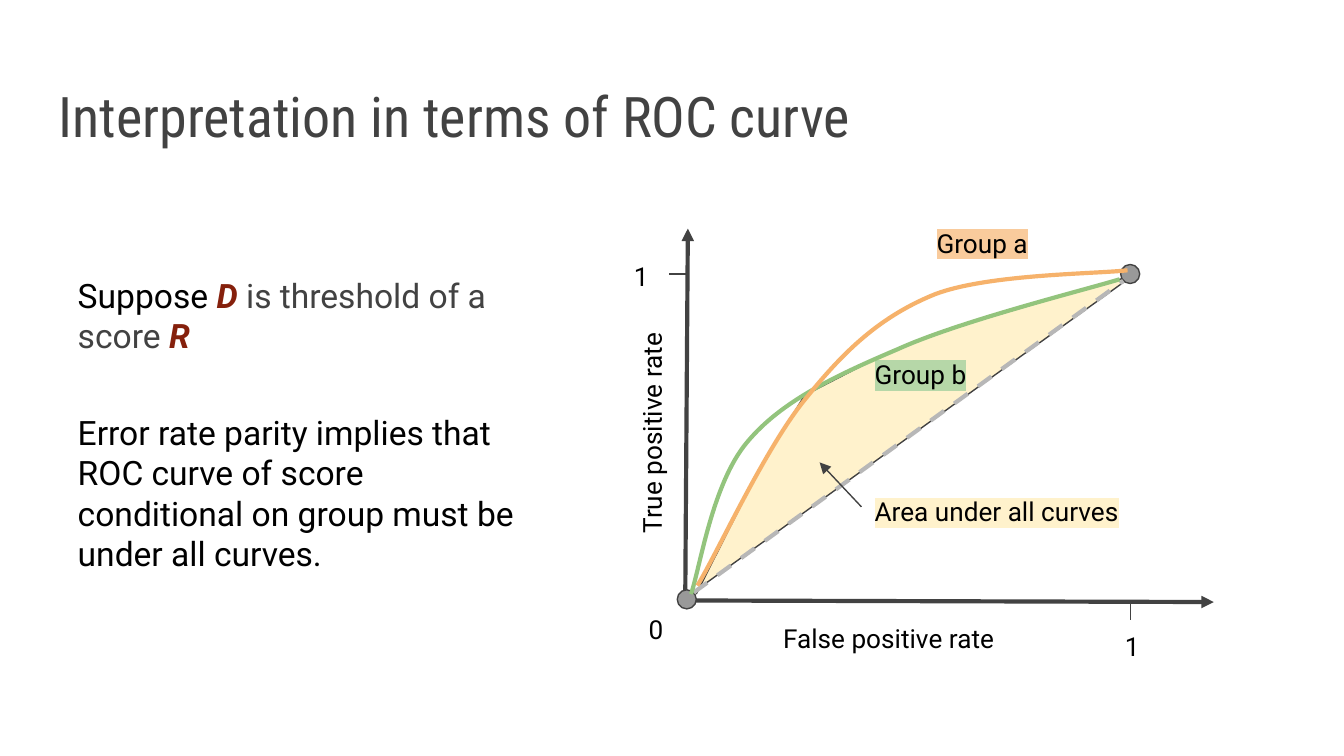
from lxml.etree import SubElement
from pptx import Presentation
from pptx.dml.color import RGBColor
from pptx.enum.dml import MSO_LINE
from pptx.enum.shapes import MSO_CONNECTOR, MSO_SHAPE
from pptx.enum.text import MSO_ANCHOR, MSO_AUTO_SIZE, PP_ALIGN
from pptx.oxml.ns import qn
from pptx.util import Cm, Pt

BLACK = RGBColor(0x00, 0x00, 0x00)
DARK = RGBColor(0x42, 0x42, 0x42)
RED = RGBColor(0x85, 0x20, 0x0C)
GREY = RGBColor(0x99, 0x99, 0x99)
LIGHT_GREY = RGBColor(0xB7, 0xB7, 0xB7)
CREAM = RGBColor(0xFF, 0xF2, 0xCC)
GREEN = RGBColor(0x93, 0xC4, 0x7D)
ORANGE = RGBColor(0xF6, 0xB2, 0x6B)
PALE_GREEN = RGBColor(0xB6, 0xD7, 0xA8)
PALE_ORANGE = RGBColor(0xF9, 0xCB, 0x9C)

# Content: all positions in cm
TITLE = "Interpretation in terms of ROC curve"

# Statements: top, runs of (text, colour, emphasis)
STATEMENTS = [
    (4.95, [("Suppose ", BLACK, False), ("D", RED, True),
            (" is threshold of a score ", DARK, False), ("R", RED, True)]),
    (7.54, [("Error rate parity implies that ROC curve of score conditional "
             "on group must be under all curves.", BLACK, False)]),
]

# Labels: text, left, top, width, height, rotation, highlight
LABELS = [
    ("False positive rate", 14.55, 11.51, 5.51, 1.75, 0, None),
    ("True positive rate", 10.29, 7.11, 4.7, 1.75, 270, None),
    ("1", 11.73, 4.67, 0.99, 0.84, 0, None),
    ("1", 21.01, 11.66, 0.99, 0.84, 0, None),
    ("0", 12.01, 11.35, 0.99, 0.84, 0, None),
    ("Group a", 17.45, 4.04, 3.71, 1.12, 0, PALE_ORANGE),
    ("Group b", 16.28, 6.53, 3.71, 1.12, 0, PALE_GREEN),
    ("Area under all curves", 16.28, 9.12, 7.65, 0.89, 0, CREAM),
]

# Lines: start, end, colour, weight, arrow at the end
ORIGIN = (12.95, 11.35)
AXES = [
    (ORIGIN, (13, 4.32), DARK, 2.25, True),
    (ORIGIN, (22.94, 11.38), DARK, 2.25, True),
    ((13, 5.18), (12.65, 5.18), DARK, 0.75, False),
    ((21.36, 11.71), (21.36, 11.35), DARK, 0.75, False),
]
DIAGONAL = ((13.11, 11.2), (21.23, 5.31), LIGHT_GREY, 2.25, False)
POINTER = ((16.28, 9.58), (15.49, 8.74), DARK, 0.75, True)

END_POINTS = [(21.36, 5.18), (12.98, 11.33)]
POINT_SIZE = 0.36

AREA = [(13.16, 11.23), (14.38, 8.81), (15.21, 7.47), (16.59, 6.76),
        (17.22, 6.48), (18.52, 6.05), (20.6, 5.44), (21.41, 5.21),
        (13.03, 11.25)]

# Curves: a start, then two controls and an end for each segment
CURVES = [
    (GREEN, [(13.06, 11.23),
             (13.23, 10.74), (13.46, 9.14), (14.12, 8.36),
             (14.76, 7.59), (15.77, 7.11), (16.97, 6.6),
             (18.14, 6.07), (20.47, 5.49), (21.16, 5.28)]),
    (ORANGE, [(13.18, 11.07),
              (13.54, 10.49), (14.48, 8.43), (15.24, 7.52),
              (15.98, 6.6), (16.66, 5.97), (17.68, 5.56),
              (18.69, 5.18), (20.7, 5.18), (21.31, 5.11)]),
]


def add_run(paragraph, text, size, color, font="Roboto", emphasis=False,
            highlight=None):
    run = paragraph.add_run()
    run.text = text
    run.font.size = Pt(size)
    run.font.bold = run.font.italic = emphasis
    run.font.color.rgb = color
    if highlight is not None:
        mark = SubElement(run.font._element, qn("a:highlight"))
        SubElement(mark, qn("a:srgbClr"), val=str(highlight))
    run.font.name = font


def add_text(left, top, width, height):
    box = slide.shapes.add_textbox(Cm(left), Cm(top), Cm(width), Cm(height))
    set_margins(box.text_frame)
    return box


def set_margins(frame):
    frame.word_wrap = True
    frame.auto_size = MSO_AUTO_SIZE.NONE
    frame.margin_left = frame.margin_right = Cm(0.25)
    frame.margin_top = frame.margin_bottom = Cm(0.25)


def add_line(start, end, color, weight, arrow):
    line = slide.shapes.add_connector(
        MSO_CONNECTOR.STRAIGHT, *(Cm(v) for v in start + end))
    line.line.color.rgb = color
    line.line.width = Pt(weight)
    if arrow:
        SubElement(line.line._get_or_add_ln(), qn("a:tailEnd"), type="triangle")
    SubElement(line._element.spPr, qn("a:effectLst"))
    return line


def style(shape, fill, color, weight):
    shape.shadow.inherit = False
    if fill is None:
        shape.fill.background()
    else:
        shape.fill.solid()
        shape.fill.fore_color.rgb = fill
    shape.line.color.rgb = color
    shape.line.width = Pt(weight)


def add_outline(points):
    start, *rest = [(Cm(x), Cm(y)) for x, y in points]
    builder = slide.shapes.build_freeform(*start)
    builder.add_line_segments(rest, close=False)
    return builder.convert_to_shape()


def bend(shape):
    """Turn each three straight steps into one Bezier segment."""
    outline = shape._element.find(".//" + qn("a:path"))
    steps = outline.findall(qn("a:lnTo"))
    for first in range(0, len(steps), 3):
        segment = SubElement(outline, qn("a:cubicBezTo"))
        for step in steps[first:first + 3]:
            segment.append(step[0])
            outline.remove(step)


deck = Presentation()
deck.slide_width, deck.slide_height = Cm(25.4), Cm(14.29)
slide = deck.slides.add_slide(deck.slide_layouts[5])

# Title
title = slide.shapes.title
title.left, title.top, title.width, title.height = (
    Cm(v) for v in (0.86, 1.04, 23.67, 2.03))
set_margins(title.text_frame)
title.text_frame.vertical_anchor = MSO_ANCHOR.BOTTOM
heading = title.text_frame.paragraphs[0]
heading.alignment = PP_ALIGN.LEFT
add_run(heading, TITLE, 30, DARK, "Roboto Condensed")

# Statements
for top, runs in STATEMENTS:
    statement = add_text(1.22, top, 8.94, 0.89).text_frame.paragraphs[0]
    for text, color, emphasis in runs:
        add_run(statement, text, 18, color, emphasis=emphasis)

# Shaded area, axes and end points
style(add_outline(AREA), CREAM, DARK, 0.75)
for axis in AXES:
    add_line(*axis)
for x, y in END_POINTS:
    point = slide.shapes.add_shape(
        MSO_SHAPE.OVAL, Cm(x - POINT_SIZE / 2), Cm(y - POINT_SIZE / 2),
        Cm(POINT_SIZE), Cm(POINT_SIZE))
    style(point, GREY, DARK, 0.75)
add_line(*DIAGONAL).line.dash_style = MSO_LINE.DASH

# Labels
for text, left, top, width, height, rotation, highlight in LABELS:
    label = add_text(left, top, width, height)
    label.rotation = rotation
    add_run(label.text_frame.paragraphs[0], text, 14, BLACK,
            highlight=highlight)

# Group curves and pointer to the area
for color, points in CURVES:
    curve = add_outline(points)
    bend(curve)
    style(curve, None, color, 2.25)
add_line(*POINTER)

deck.save("out.pptx")
